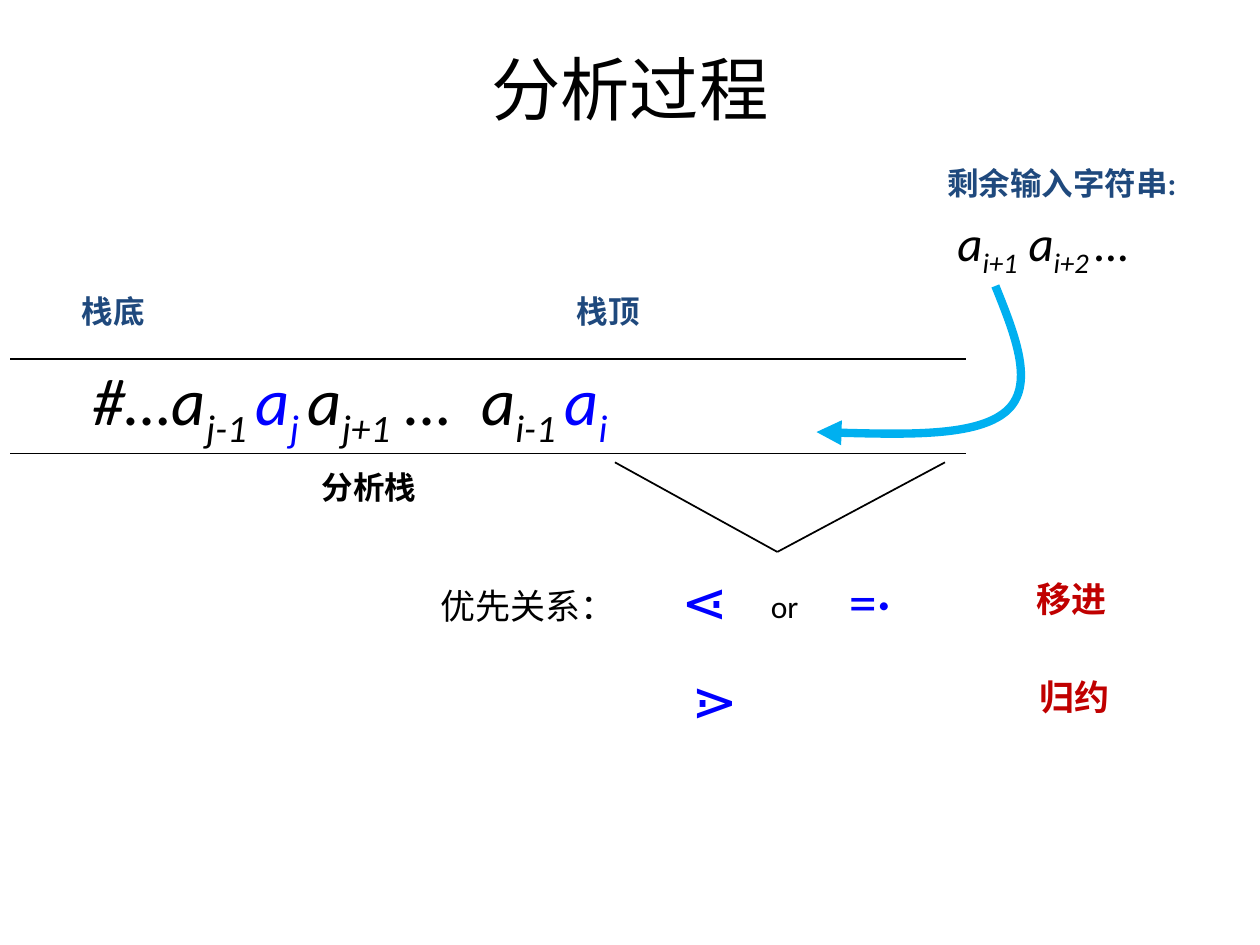
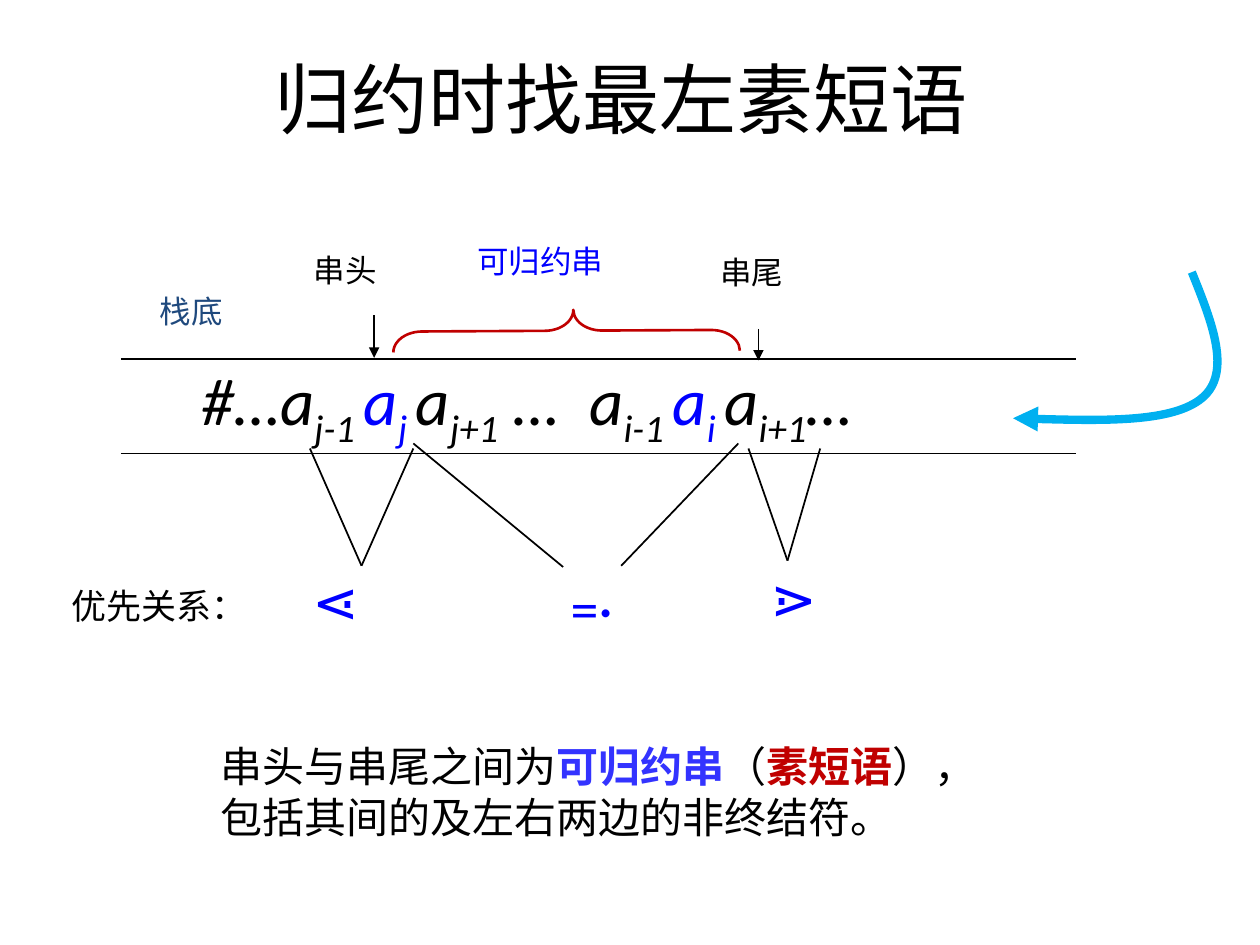
from lxml import etree
from pptx import Presentation
from pptx.dml.color import RGBColor
from pptx.enum.lang import MSO_LANGUAGE_ID
from pptx.enum.shapes import MSO_CONNECTOR, MSO_SHAPE
from pptx.enum.text import MSO_ANCHOR, MSO_AUTO_SIZE, PP_ALIGN
from pptx.oxml.ns import qn
from pptx.util import Pt

STRAIGHT = MSO_CONNECTOR.STRAIGHT
LEFT_BRACE = MSO_SHAPE.LEFT_BRACE
LEFT, CENTER = PP_ALIGN.LEFT, PP_ALIGN.CENTER
MIDDLE = MSO_ANCHOR.MIDDLE
FIT, NO_FIT = MSO_AUTO_SIZE.SHAPE_TO_FIT_TEXT, MSO_AUTO_SIZE.NONE
CHINESE = MSO_LANGUAGE_ID.SIMPLIFIED_CHINESE

COLORS = {
    "black": "000000",
    "blue": "0000FF",
    "phrase": "3333FF",
    "navy": "1F497D",
    "red": "C00000",
    "sky": "00B0F0",
}
BODY_FONT = "Calibri"
TITLE_FONT = "Noto Sans CJK SC"
INSETS = (7.2, 3.6, 7.2, 3.6)
STACK_INSETS = (7.2, 0, 7.2, 8.64)
STACK_TOP, STACK_BOTTOM, STACK_WIDTH = 205.2, 259.2, 545.8

SUB = {"sub": True}
BLUE = {"color": "blue"}
BLUE_SUB = {"color": "blue", "sub": True}
STACK = [
    ("#…a", {}), ("j-1 ", SUB), ("a", BLUE), ("j ", BLUE_SUB),
    ("a", {}), ("j+1", SUB), (" …  a", {}), ("i-1 ", SUB), ("a", BLUE),
]


def rgb(name):
    return RGBColor.from_string(COLORS[name])


class Deck:
    def __init__(self):
        self.prs = Presentation()
        self.prs.slide_width, self.prs.slide_height = Pt(720), Pt(540)
        self.s = None

    def slide(self, title, size, height):
        self.s = self.prs.slides.add_slide(self.prs.slide_layouts[6])
        sp = self.text(title, (36, 21.6, 648, height), size, font=TITLE_FONT,
                       align=CENTER, fit=NO_FIT)
        sp.text_frame.vertical_anchor = MIDDLE

    def text(self, runs, box, size, color="black", bold=False, italic=False,
             font=BODY_FONT, align=LEFT, insets=INSETS, wrap=True, fit=FIT):
        sp = self.s.shapes.add_textbox(*map(Pt, box))
        tf = sp.text_frame
        tf.word_wrap, tf.auto_size = wrap, fit
        (tf.margin_left, tf.margin_top,
         tf.margin_right, tf.margin_bottom) = map(Pt, insets)
        p = tf.paragraphs[0]
        p.alignment = align
        if isinstance(runs, str):
            runs = [(runs, {})]
        for content, style in runs:
            r = p.add_run()
            r.text = content
            f = r.font
            f.name, f.size, f.italic = font, Pt(size), italic
            f.bold = style.get("bold", bold)
            f.language_id = CHINESE
            f.color.rgb = rgb(style.get("color", color))
            rPr = r._r.get_or_add_rPr()
            if style.get("sub"):
                rPr.set("baseline", "-25000")
            etree.SubElement(rPr, qn("a:ea"), typeface=font)
        return sp

    def relation(self, symbol, left, top, width=38):
        self.text(symbol, (left, top, width, 46), 32, "blue", wrap=False)

    def relation_label(self, left):
        self.text("优先关系：", (left, 330.5, 112.3, 31.7), 20)

    def stroke(self, sp, color, width, arrow=False):
        sp.line.color.rgb = rgb(color)
        sp.line.width = Pt(width)
        if arrow:
            etree.SubElement(sp.line._get_or_add_ln(), qn("a:tailEnd"),
                             type="triangle")

    def line(self, x1, y1, x2, y2, arrow=False):
        sp = self.s.shapes.add_connector(STRAIGHT, *map(Pt, (x1, y1, x2, y2)))
        self.stroke(sp, "black", 1, arrow)
        etree.SubElement(sp._element.spPr, qn("a:effectLst"))

    def stack(self, left, runs, width, align=LEFT):
        self.text(runs, (46, STACK_TOP, width, 54), 38, italic=True,
                  align=align, insets=STACK_INSETS)
        for y in (STACK_BOTTOM, STACK_TOP):
            self.line(left, y, left + STACK_WIDTH, y)

    def input_arrow(self, left, top):
        start = (102.2, 0)
        curve = [(113.8, 28.8), (125.3, 57.6), (108, 72),
                 (91.4, 85.7), (45.7, 85), (0, 83.5)]
        pts = [(Pt(left + x), Pt(top + y)) for x, y in [start] + curve]
        fb = self.s.shapes.build_freeform(*pts[0])
        fb.add_line_segments(pts[1:], close=False)
        sp = fb.convert_to_shape()
        segments = list(sp._element.iter(qn("a:lnTo")))
        for i in range(0, len(segments), 3):
            bezier = etree.SubElement(segments[i].getparent(),
                                      qn("a:cubicBezTo"))
            for segment in segments[i:i + 3]:
                bezier.append(segment[0])
                segment.getparent().remove(segment)
        sp.fill.background()
        self.stroke(sp, "sky", 4.75, arrow=True)
        sp.shadow.inherit = False

    def brace(self, box, rotation, adjustments):
        sp = self.s.shapes.add_shape(LEFT_BRACE, *map(Pt, box))
        sp.rotation = rotation
        for i, value in enumerate(adjustments):
            sp.adjustments[i] = value
        sp.fill.background()
        self.stroke(sp, "red", 1.5)
        sp.shadow.inherit = False


def parsing_process(deck):
    deck.slide("分析过程", 39.6, 57)
    deck.stack(6, STACK + [("i", BLUE_SUB)], 347.8)
    for x in (351.4, 540):
        deck.line(x, 264.2, 444.2, 315.4)
    deck.relation("⋖", 382.3, 320.4)
    deck.relation("=·", 478, 320.4, 44)
    deck.relation("⋗", 388, 376.6)
    deck.input_arrow(466.6, 163.4)
    deck.relation_label(244.8)
    for label, left in (("栈底", 39.6), ("栈顶", 322.6)):
        deck.text(label, (left, 163.4, 56, 29.5), 18, "navy", bold=True,
                  wrap=False)
    deck.text([("a", {}), ("i+1", SUB), (" a", {}), ("i+2 ", SUB), ("…　", {})],
              (540, 118, 152, 41), 28, italic=True)
    deck.text("剩余输入字符串:", (534.2, 90, 168.5, 28.8), 18, "navy", bold=True)
    deck.text("or", (433.4, 332, 39.6, 28.8), 18)
    for action, left, top in (("移进", 585.4, 326.2), ("归约", 586.8, 382.3)):
        deck.text(action, (left, top, 73.4, 31.7), 20, "red", bold=True)
    deck.text("分析栈", (157.7, 264.2, 106.6, 28.8), 18, bold=True,
              align=CENTER)


def leftmost_prime_phrase(deck):
    deck.slide("归约时找最左素短语 ", 44, 68.4)
    deck.stack(69.1, STACK + [("i ", BLUE_SUB), ("a", {}), ("i+1", SUB),
                              ("…　", {})], 548, CENTER)
    for ends in ((177.1, 256.3, 206.6, 323.3), (236.2, 256.3, 206.6, 323.3),
                 (236.2, 253.4, 321.8, 324), (421.9, 253.4, 355, 323.3),
                 (427.7, 256.3, 450, 320.4), (468.7, 256.3, 450, 320.4)):
        deck.line(*ends)
    deck.relation("⋖", 171.4, 320.4)
    deck.relation("=·", 319, 324, 44)
    deck.relation("⋗", 433.4, 318.2)
    for x, y1, y2 in ((213.8, 180, 204.5), (433.4, 188, 206)):
        deck.line(x, y1, x, y2, arrow=True)
    for label, box, color in (
            ("串头", (172.1, 139.7, 64, 29.5), "black"),
            ("串尾", (404.6, 141.1, 57, 29.5), "black"),
            ("可归约串", (265.7, 134.6, 129, 36.7), "blue"),
            ("栈底", (84.2, 163.4, 56, 29.5), "navy")):
        deck.text(label, box, 18, color)
    deck.brace((311.8, 90, 23.8, 198), 89.7, (0.69, 0.48))
    deck.text([("串头与串尾之间为", {}),
               ("可归约串", {"color": "phrase", "bold": True}),
               ("（", {}),
               ("素短语", {"color": "red", "bold": True}),
               ("），包括其间的及左右两边的非终结符。", {})],
              (118.8, 419.8, 455, 65.5), 24)
    deck.input_arrow(578.9, 155.5)
    deck.relation_label(33.8)


def main():
    deck = Deck()
    parsing_process(deck)
    leftmost_prime_phrase(deck)
    deck.prs.save("out.pptx")


if __name__ == "__main__":
    main()
